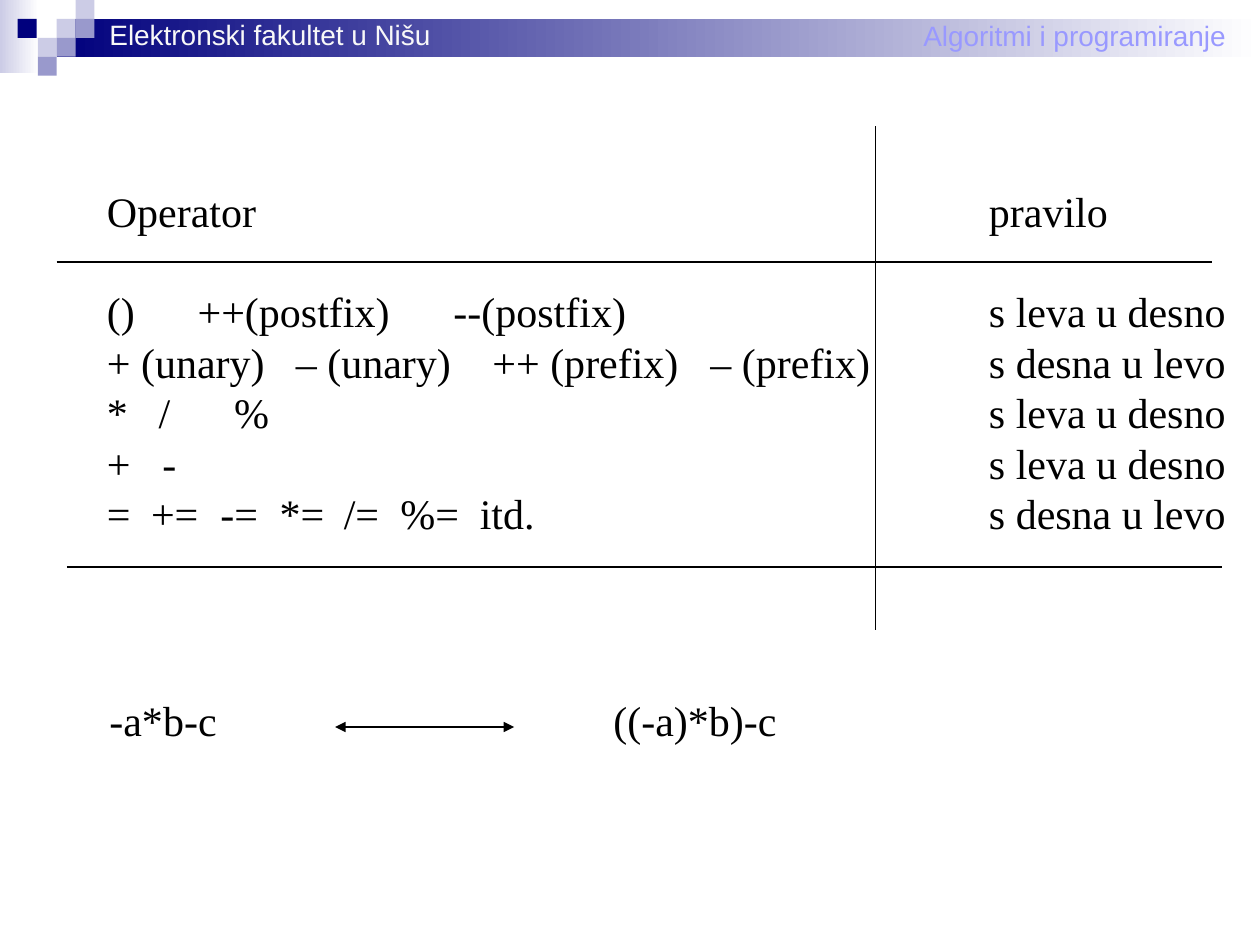
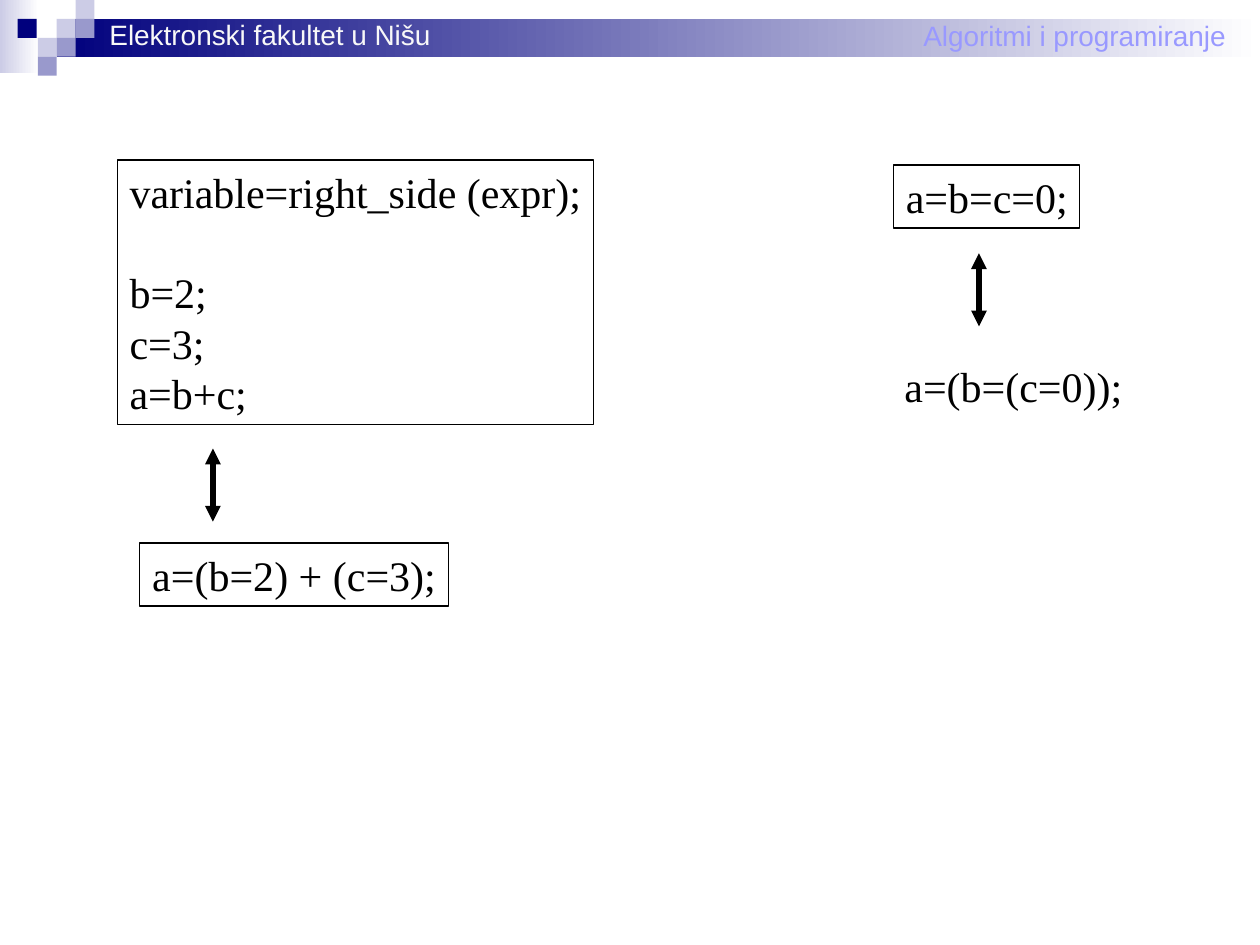
from lxml import etree
from pptx import Presentation
from pptx.dml.color import RGBColor
from pptx.enum import shapes
from pptx.oxml.ns import qn
from pptx.util import Inches, Pt

NAVY = RGBColor(0x00, 0x00, 0x7D)
LAVENDER = RGBColor(0xCC, 0xCC, 0xE6)
VIOLET = RGBColor(0x99, 0x99, 0xCC)
PERIWINKLE = RGBColor(0x99, 0x99, 0xFF)
OFF_WHITE = RGBColor(0xF8, 0xF8, 0xF8)
WHITE = RGBColor(0xFF, 0xFF, 0xFF)
BLACK = RGBColor(0x00, 0x00, 0x00)

HEADINGS = [
    ("Algoritmi i programiranje", (7.23, 0.1, 2.6, 0.37), PERIWINKLE),
    ("Elektronski fakultet u Nišu", (0.77, 0.09, 2.75, 0.37), OFF_WHITE),
]
BANDS = [((0, 0, 0.31, 0.58), LAVENDER), ((0.45, 0.15, 9.55, 0.3), NAVY)]
TILE = 0.15
TILES = [
    (0.45, 0.15, LAVENDER),
    (0.6, 0, LAVENDER),
    (0.6, 0.15, VIOLET),
    (0.3, 0.3, LAVENDER),
    (0.14, 0.15, NAVY),
    (0.45, 0.3, VIOLET),
    (0.3, 0.45, VIOLET),
]

RULE_COLUMN = 7
LEFT_TO_RIGHT, RIGHT_TO_LEFT = "s leva u desno", "s desna u levo"
OPERATOR_ROWS = [
    (["Operator"], [], "pravilo"),
    (["()", "++(postfix)", "--(postfix)"], [0.72, 2.75], LEFT_TO_RIGHT),
    (["+ (unary)", "– (unary)", "++ (prefix)", "– (prefix)"],
     [1.5, 3.06, 4.79], RIGHT_TO_LEFT),
    (["*", "/", "%"], [0.41, 1.01], LEFT_TO_RIGHT),
    (["+", "-"], [0.44], LEFT_TO_RIGHT),
    (["=", "+=", "-=", "*=", "/=", "%=", "itd."],
     [0.35, 0.9, 1.37, 1.88, 2.33, 2.96], RIGHT_TO_LEFT),
]
GRID_LINES = [
    ((0.45, 2.08), (9.62, 2.08)),
    ((6.95, 1), (6.95, 5)),
    ((0.53, 4.5), (9.7, 4.5)),
]
EXPANSION = [("-a*b-c\t((-a)*b)-c", [4])]

CODE_BOXES = [
    (["variable=right_side (expr);", "b=2;", "c=3;", "a=b+c;"],
     (0.93, 1.27, 3.78, 2.1), True),
    (["a=(b=2) + (c=3);"], (1.11, 4.31, 2.45, 0.5), True),
    (["a=b=c=0;"], (7.09, 1.31, 1.48, 0.5), True),
    (["a=(b=(c=0));"], (7.08, 2.81, 1.93, 0.5), False),
]
EQUIVALENCE_ARROWS = [(1.69, 3.56), (7.77, 2.01)]
ARROW_LENGTH = 0.58


def inches(values):
    return [Inches(value) for value in values]


def add_rect(page, area):
    rect = page.shapes.add_shape(shapes.MSO_SHAPE.RECTANGLE, *inches(area))
    rect.shadow.inherit = False
    rect.line.fill.background()
    return rect


def add_text(page, area, rows, size=24, font="Times New Roman", color=BLACK,
             gap_after_first=False, framed=False):
    box = page.shapes.add_textbox(*inches(area))
    frame = box.text_frame
    frame.word_wrap = True
    frame.margin_right = 0
    if framed:
        box.line.color.rgb = BLACK
        box.line.width = Pt(0.75)
    for index, (content, stops) in enumerate(rows):
        para = frame.add_paragraph() if index else frame.paragraphs[0]
        para.text = content
        if stops:
            tabs = etree.SubElement(para._p.get_or_add_pPr(), qn("a:tabLst"))
            for stop in stops:
                etree.SubElement(tabs, qn("a:tab"), pos=str(Inches(stop)), algn="l")
        para.line_spacing = Pt(size * 1.2)
        if index == 1 and gap_after_first:
            para.space_before = Pt(size * 1.2)
        para.font.size = Pt(size)
        para.font.name = font
        para.font.color.rgb = color


def add_line(page, start, end, width=0.75, arrows=False):
    line = page.shapes.add_connector(
        shapes.MSO_CONNECTOR.STRAIGHT, *inches(start + end))
    line.line.color.rgb = BLACK
    line.line.width = Pt(width)
    if arrows:
        outline = line.line._get_or_add_ln()
        for tag in ("a:headEnd", "a:tailEnd"):
            etree.SubElement(outline, qn(tag), type="triangle")
    etree.SubElement(line._element.spPr, qn("a:effectLst"))


def add_page(deck):
    page = deck.slides.add_slide(deck.slide_layouts[6])
    for area, color in BANDS:
        fill = add_rect(page, area).fill
        fill.gradient()
        fill.gradient_angle = 0
        for stop, shade, position in zip(fill.gradient_stops, (color, WHITE), (0, 1)):
            stop.color.rgb = shade
            stop.position = position
    for left, top, color in TILES:
        fill = add_rect(page, (left, top, TILE, TILE)).fill
        fill.solid()
        fill.fore_color.rgb = color
    for heading, area, color in HEADINGS:
        add_text(page, area, [(heading, [])], 16, "Arial", color)
    return page


def add_precedence_page(deck):
    page = add_page(deck)
    rows = [("\t".join(operators + [rule]), stops + [RULE_COLUMN])
            for operators, stops, rule in OPERATOR_ROWS]
    add_text(page, (0.75, 1.42, 9.08, 2.9), rows, gap_after_first=True)
    for start, end in GRID_LINES:
        add_line(page, start, end)
    add_text(page, (0.77, 5.46, 5.49, 0.5), EXPANSION)
    add_line(page, (2.66, 5.77), (4.08, 5.77), arrows=True)


def add_assignment_page(deck):
    page = add_page(deck)
    for lines, area, framed in CODE_BOXES:
        add_text(page, area, [(line, []) for line in lines],
                 gap_after_first=True, framed=framed)
    for x, top in EQUIVALENCE_ARROWS:
        add_line(page, (x, top), (x, top + ARROW_LENGTH), 3, arrows=True)


def main():
    deck = Presentation()
    deck.slide_width, deck.slide_height = Inches(10), Inches(7.5)
    add_precedence_page(deck)
    add_assignment_page(deck)
    deck.save("out.pptx")


if __name__ == "__main__":
    main()
